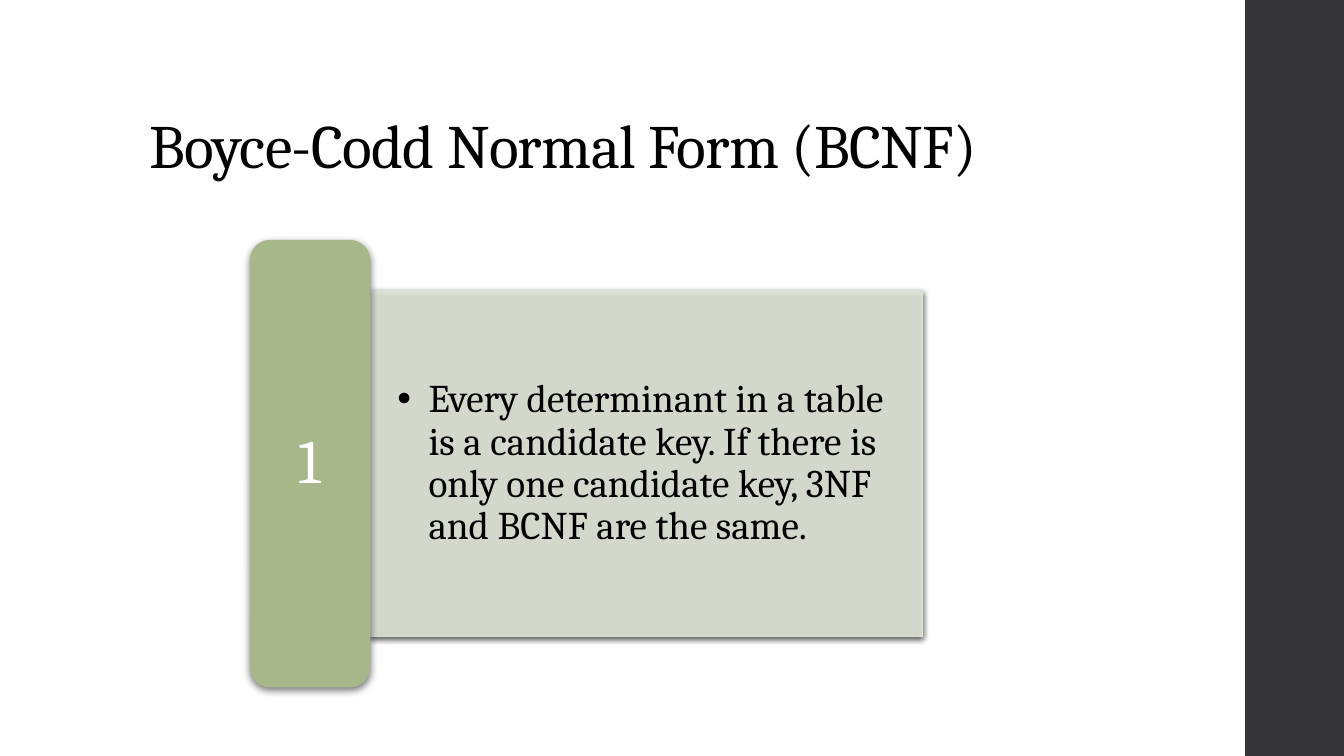
from lxml.etree import SubElement
from pptx import Presentation
from pptx.dml.color import RGBColor
from pptx.enum.shapes import MSO_SHAPE
from pptx.enum.text import MSO_ANCHOR, MSO_AUTO_SIZE, PP_ALIGN
from pptx.oxml.ns import qn
from pptx.util import Inches, Pt

# Content
TITLE = "Boyce-Codd Normal Form (BCNF)"
NUMBER = "1"
RULE = ("Every determinant in a table is a candidate key. If there is "
        "only one candidate key, 3NF and BCNF are the same.")

# Layout in inches: left, top, width, height
SLIDE_WIDTH, SLIDE_HEIGHT = 13.33, 7.5
BAND_LEFT = 12.35
TITLE_AREA = (1.38, 0.4, 10.6, 1.45)
TAB_AREA = (2.48, 2.38, 1.19, 4.44)
PANEL_WIDTH, PANEL_HEIGHT = 5.48, 3.43
tab_left, tab_top, tab_width, tab_height = TAB_AREA
PANEL_AREA = (tab_left + tab_width, tab_top + (tab_height - PANEL_HEIGHT) / 2,
              PANEL_WIDTH, PANEL_HEIGHT)

FONT = "Cambria"
BLACK, WHITE, DARK = "000000", "FFFFFF", "353537"
GREEN, PALE_GREEN = "A7B789", "E1E6DA"


def color(value):
    return RGBColor.from_string(value)


def place(shape, area):
    shape.left, shape.top, shape.width, shape.height = map(Inches, area)


def set_alpha(fill_parent, percent):
    """Make the solid fill directly inside an element translucent."""
    tint = fill_parent.find(qn("a:solidFill"))[0]
    SubElement(tint, qn("a:alpha"), val=str(percent * 1000))


def add_box(page, kind, area, fill):
    box = page.shapes.add_shape(kind, *map(Inches, area))
    box.shadow.inherit = False
    box.fill.solid()
    box.fill.fore_color.rgb = color(fill)
    box.line.fill.background()
    return box


def add_shadow(box, blur, distance, opacity):
    effects = box.element.spPr.find(qn("a:effectLst"))
    shadow = SubElement(effects, qn("a:outerShdw"), blurRad=str(Pt(blur)),
                        dist=str(Pt(distance)), dir="5400000", rotWithShape="0")
    tint = SubElement(shadow, qn("a:srgbClr"), val=BLACK)
    SubElement(tint, qn("a:alpha"), val=str(opacity * 1000))


def write(shape, text, size, fill=BLACK, align=PP_ALIGN.LEFT,
          anchor=MSO_ANCHOR.MIDDLE, insets=(0.1, 0.05), spacing=None):
    frame = shape.text_frame
    frame.word_wrap = True
    frame.auto_size = MSO_AUTO_SIZE.NONE
    frame.vertical_anchor = anchor
    frame.margin_left = frame.margin_right = Inches(insets[0])
    frame.margin_top = frame.margin_bottom = Inches(insets[1])
    para = frame.paragraphs[0]
    para.alignment = align
    para.line_spacing = 0.9
    para.space_before = Pt(0)
    span = para.add_run()
    span.text = text
    span.font.name = FONT
    span.font.size = Pt(size)
    span.font.color.rgb = color(fill)
    if spacing is not None:
        span.font.element.set("spc", str(int(spacing * 100))) if hasattr(
            span.font, "element") else span._r.get_or_add_rPr().set(
            "spc", str(int(spacing * 100)))
    return para


def add_bullet(para, indent):
    properties = para._p.get_or_add_pPr()
    properties.set("marL", str(Inches(indent)))
    properties.set("indent", str(-Inches(indent)))
    SubElement(properties, qn("a:buChar"), char="•")


def main():
    deck = Presentation()
    deck.slide_width, deck.slide_height = Inches(SLIDE_WIDTH), Inches(SLIDE_HEIGHT)
    page = deck.slides.add_slide(deck.slide_layouts[1])
    title, body = page.shapes.title, page.placeholders[1]

    # Title
    place(title, TITLE_AREA)
    write(title, TITLE, 44, anchor=MSO_ANCHOR.BOTTOM, spacing=-0.5)

    # Dark band along the right edge
    add_box(page, MSO_SHAPE.RECTANGLE,
            (BAND_LEFT, 0, SLIDE_WIDTH - BAND_LEFT, SLIDE_HEIGHT), DARK)

    # Pale panel, placed behind the body text
    panel = add_box(page, MSO_SHAPE.RECTANGLE, PANEL_AREA, PALE_GREEN)
    panel.line.color.rgb = color(PALE_GREEN)
    panel.line.width = Pt(0.75)
    set_alpha(panel.element.spPr, 90)
    set_alpha(panel.element.spPr.find(qn("a:ln")), 90)
    add_shadow(panel, blur=4, distance=1.2, opacity=75)
    body.element.addprevious(panel.element)

    # Rule text
    place(body, PANEL_AREA)
    add_bullet(write(body, RULE, 28, insets=(0.27, 0.14)), indent=0.31)

    # Numbered tab
    tab = add_box(page, MSO_SHAPE.ROUNDED_RECTANGLE, TAB_AREA, GREEN)
    add_shadow(tab, blur=6, distance=2, opacity=55)
    write(tab, NUMBER, 44, fill=WHITE, align=PP_ALIGN.CENTER)

    deck.save("out.pptx")


if __name__ == "__main__":
    main()
